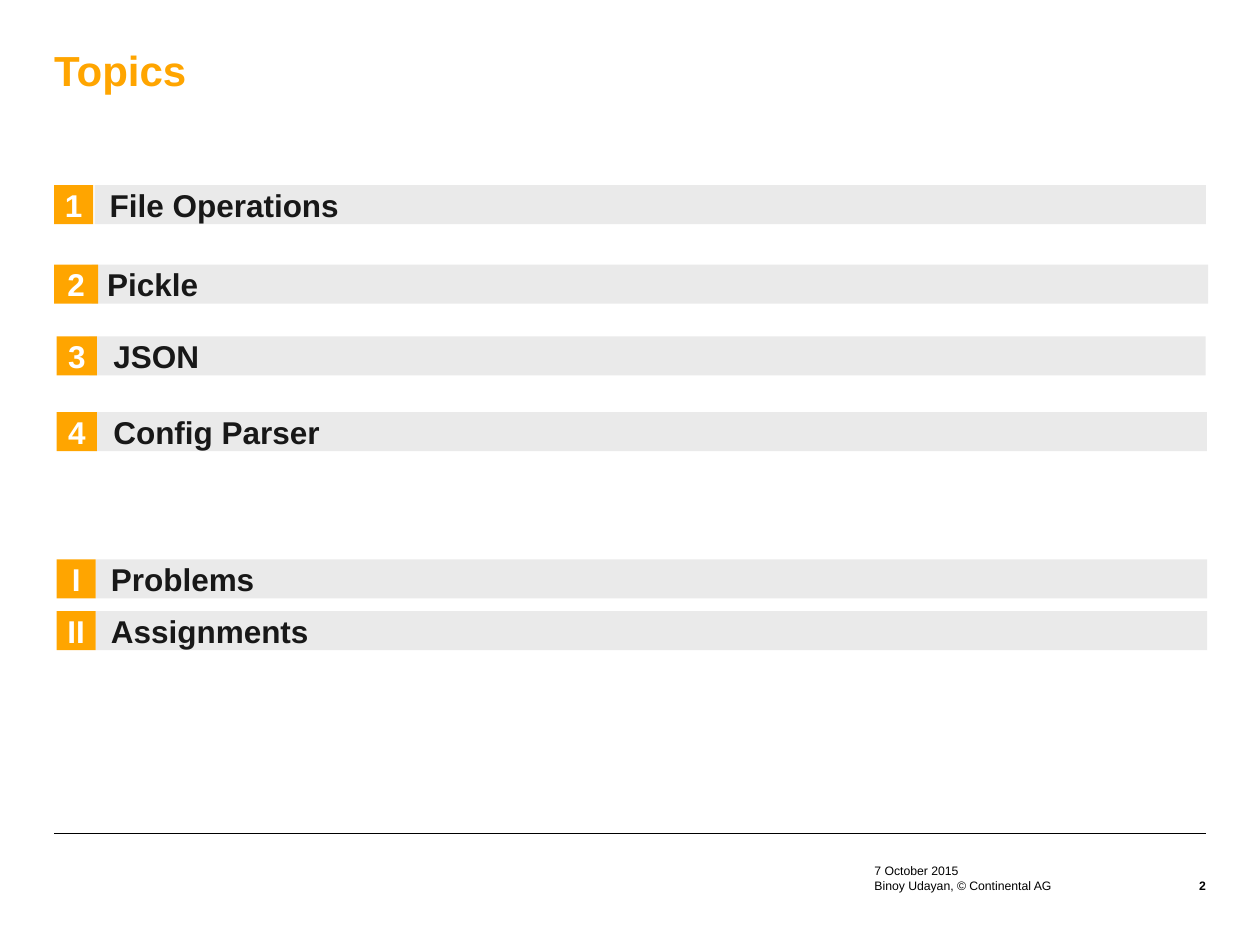
from pptx import Presentation
from pptx.dml.color import RGBColor
from pptx.enum.shapes import MSO_CONNECTOR, MSO_SHAPE
from pptx.enum.text import MSO_ANCHOR as Anchor, PP_ALIGN as Align
from pptx.oxml.ns import qn
from pptx.util import Inches, Pt
from lxml import etree

ORANGE = RGBColor(0xFF, 0xA5, 0x00)
GREY = RGBColor(0xEA, 0xEA, 0xEA)
DARK = RGBColor(0x18, 0x18, 0x18)
WHITE = RGBColor(0xFF, 0xFF, 0xFF)
BLACK = RGBColor(0x00, 0x00, 0x00)

WIDTH, HEIGHT = 10, 7.5
LEFT, RIGHT = 0.43, 9.57
ROW_HEIGHT = 0.31

# number, topic, top, badge left, badge width, bar left, bar right, text indent
TOPICS = [
    ("1", "File Operations", 1.47, 0.43, 0.31, 0.75, 9.57, 0.12),
    ("2", "Pickle", 2.1, 0.43, 0.35, 0.73, 9.59, 0.12),
    ("3", "JSON", 2.67, 0.45, 0.32, 0.71, 9.57, 0.19),
    ("4", "Config Parser", 3.27, 0.45, 0.32, 0.71, 9.58, 0.19),
    ("I", "Problems", 4.44, 0.45, 0.31, 0.76, 9.58, 0.12),
    ("II", "Assignments", 4.85, 0.45, 0.31, 0.76, 9.58, 0.12),
]


def write(shape, text, size, color, bold=False, align=Align.LEFT,
          anchor=Anchor.TOP, insets=(0, 0, 0, 0)):
    """Fill a shape with one formatted paragraph."""
    frame = shape.text_frame
    frame.word_wrap = True
    frame.vertical_anchor = anchor
    (frame.margin_left, frame.margin_top,
     frame.margin_right, frame.margin_bottom) = map(Inches, insets)
    paragraph = frame.paragraphs[0]
    paragraph.text = text
    paragraph.alignment = align
    font = paragraph.font
    font.name, font.size, font.bold = "Arial", Pt(size), bold
    font.color.rgb = color
    return paragraph


def add_text(slide, box, text, size, color, **style):
    shape = slide.shapes.add_textbox(*map(Inches, box))
    return write(shape, text, size, color, **style)


def add_block(slide, box, fill, text, color, **style):
    shape = slide.shapes.add_shape(MSO_SHAPE.RECTANGLE, *map(Inches, box))
    shape.shadow.inherit = False
    shape.fill.solid()
    shape.fill.fore_color.rgb = fill
    shape.line.fill.background()
    write(shape, text, 18, color, bold=True, anchor=Anchor.MIDDLE, **style)


def add_title(slide, box):
    paragraph = add_text(slide, box, "Topics", 24, ORANGE, bold=True,
                         insets=(0, 0.06, 0.1, 0))
    paragraph.line_spacing = 0.95


def add_topic(slide, number, topic, top, badge_left, badge_width,
              bar_left, bar_right, indent):
    """A grey bar with its numbered badge on top."""
    add_block(slide, (bar_left, top, bar_right - bar_left, ROW_HEIGHT),
              GREY, topic, DARK, insets=(indent, 0.04, 0.08, 0.04))
    add_block(slide, (badge_left, top, badge_width, ROW_HEIGHT),
              ORANGE, number, WHITE, align=Align.CENTER, insets=(0.04,) * 4)


def add_footer(slide, left, top, right):
    # Rule across the slide
    rule = slide.shapes.add_connector(
        MSO_CONNECTOR.STRAIGHT, *map(Inches, (left, top, right, top)))
    rule.line.color.rgb = BLACK
    rule.line.width = Pt(0.35)
    etree.SubElement(rule._element.spPr, qn("a:effectLst"))

    # Date, author and page number
    line = 0.16
    date_top, author_top = top + 0.2, top + 0.2 + line
    text_left = right - 2.63
    add_text(slide, (text_left, date_top, 2.19, line), "7 October 2015",
             7, BLACK, anchor=Anchor.BOTTOM)
    add_text(slide, (text_left, author_top, 2.19, line),
             "Binoy Udayan, © Continental AG", 7, BLACK)
    add_text(slide, (right - 0.39, author_top, 0.39, line), "2",
             7, BLACK, bold=True, align=Align.RIGHT)


def main():
    presentation = Presentation()
    presentation.slide_width = Inches(WIDTH)
    presentation.slide_height = Inches(HEIGHT)
    slide = presentation.slides.add_slide(presentation.slide_layouts[6])

    add_title(slide, (LEFT, 0.32, RIGHT - LEFT, 0.79))
    for topic in TOPICS:
        add_topic(slide, *topic)
    add_footer(slide, LEFT, 6.61, RIGHT)

    presentation.save("out.pptx")


if __name__ == "__main__":
    main()
